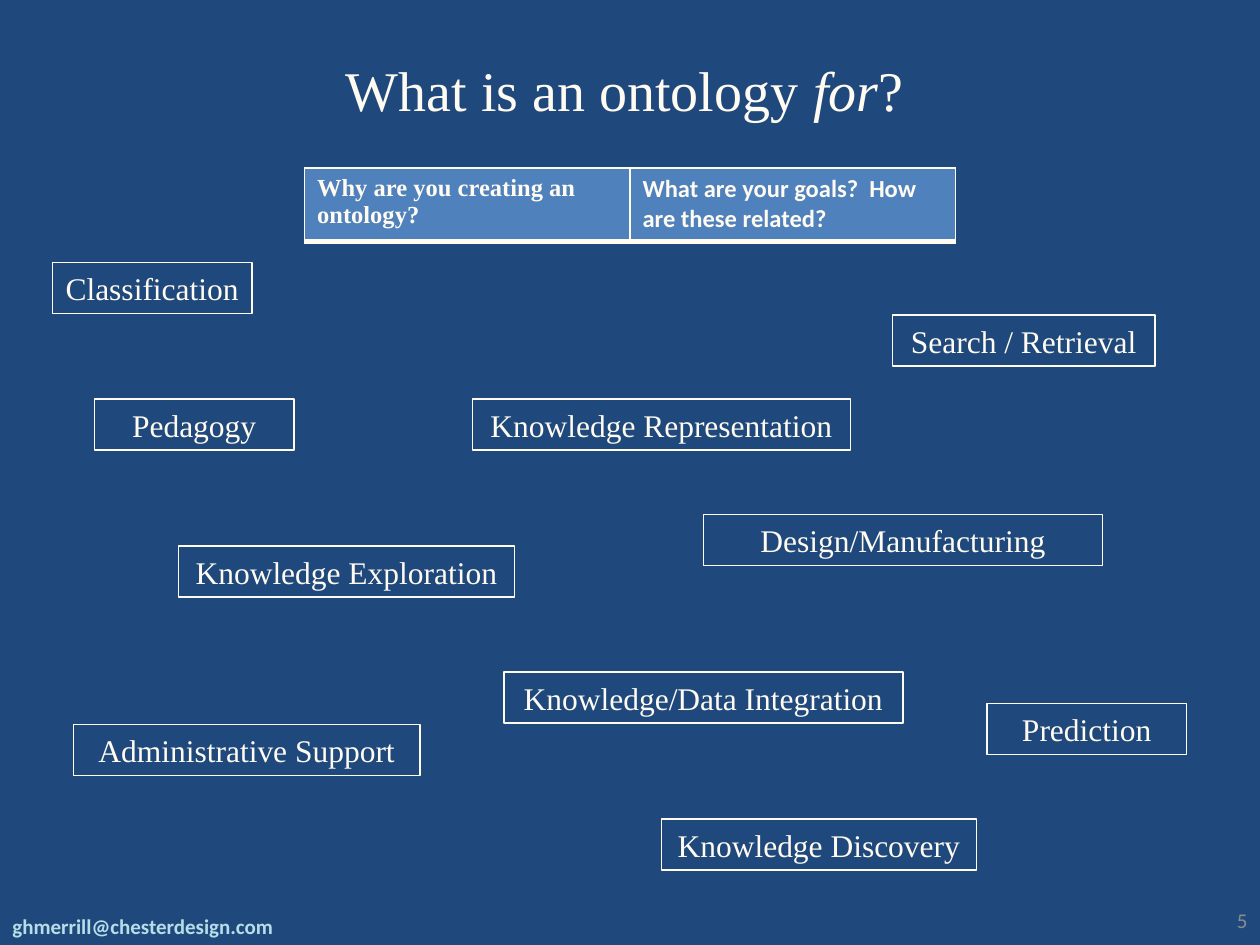
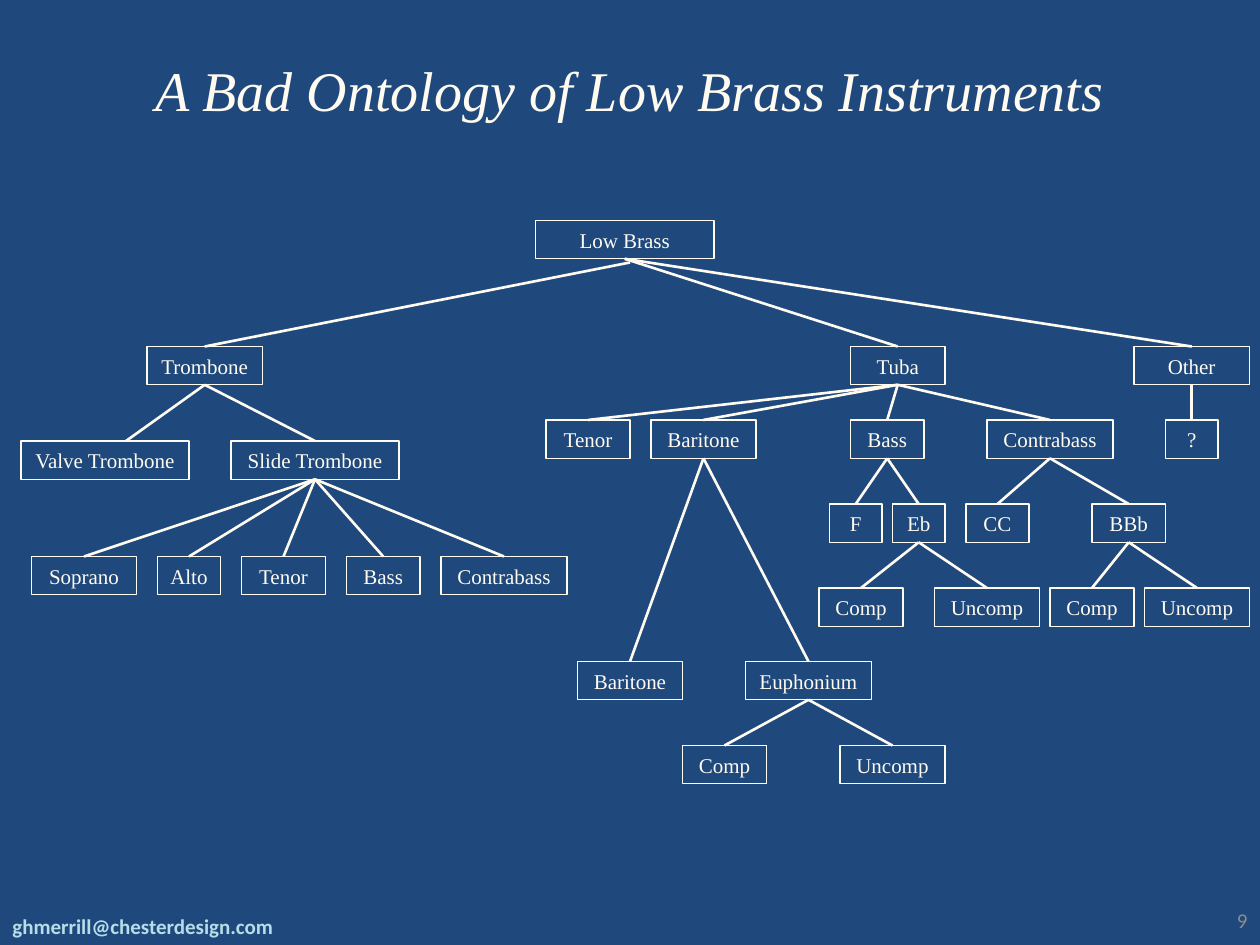
from dataclasses import dataclass
from typing import Optional

from lxml.etree import SubElement
from pptx import Presentation
from pptx.dml.color import RGBColor
from pptx.enum.shapes import MSO_CONNECTOR as Connector, MSO_SHAPE as Shape
from pptx.enum.text import MSO_ANCHOR as Anchor, PP_ALIGN as Align
from pptx.oxml.ns import qn
from pptx.util import Inches, Pt

COLS, ROWS = 120, 90
NAVY, CREAM, STEEL, AQUA, GREY = "1F497D", "FFFBF0", "4F81BD", "B7DEE8", "8C8C8C"
SERIF, SANS = "Times New Roman", "Calibri"
TITLE_ONLY = 5
TOP, BOTTOM = 0, 2  # connection sites of a rectangle


def color(hex_code):
    return RGBColor.from_string(hex_code)


@dataclass
class Node:
    """A box of the tree; link_start and link_end move the line from its parent."""
    label: str
    col: float
    row: float
    width: float
    children: tuple = ()
    link_start: Optional[tuple] = None
    link_end: Optional[tuple] = None


class Deck:
    def __init__(self):
        self.prs = Presentation()
        self.prs.slide_width, self.prs.slide_height = Inches(10), Inches(7.5)
        background = self.prs.slide_master.background.fill
        background.solid()
        background.fore_color.rgb = color(NAVY)
        self.slide = None

    def place(self, col, row):
        return (round(self.prs.slide_width * col / COLS),
                round(self.prs.slide_height * row / ROWS))

    def area(self, col, row, width, height):
        return *self.place(col, row), *self.place(width, height)

    def style(self, paragraph, size, face=SERIF, ink=CREAM, bold=False, align=Align.LEFT):
        paragraph.alignment = align
        font = paragraph.font
        font.size, font.name, font.bold = Pt(size), face, bold
        font.color.rgb = color(ink)

    def new_slide(self, number, title_runs, title_col, title_width):
        """Start a slide with its title, given as (text, italic) runs, and footers."""
        self.slide = self.prs.slides.add_slide(self.prs.slide_layouts[TITLE_ONLY])
        title = self.slide.shapes.title
        title.left, title.top, title.width, title.height = self.area(title_col, 3, title_width, 11)
        title.text_frame.vertical_anchor = Anchor.MIDDLE
        heading = title.text_frame.paragraphs[0]
        for text, italic in title_runs:
            run = heading.add_run()
            run.text, run.font.italic = text, italic
        self.style(heading, 32, align=Align.CENTER)
        self.footer(str(number), (92, 85.2, 28, 4.8), ink=GREY, align=Align.RIGHT)
        self.footer("ghmerrill@chesterdesign.com", (0, 86.4, 38, 3.6), ink=AQUA, bold=True)

    def footer(self, text, area, **look):
        frame = self.slide.shapes.add_textbox(*self.area(*area)).text_frame
        frame.word_wrap, frame.vertical_anchor = True, Anchor.MIDDLE
        frame.text = text
        self.style(frame.paragraphs[0], 12, SANS, **look)

    def box(self, label, col, row, width, height, size):
        box = self.slide.shapes.add_shape(Shape.RECTANGLE, *self.area(col, row, width, height))
        box.shadow.inherit = False
        box.fill.background()
        box.line.color.rgb, box.line.width = color(CREAM), Pt(0.75)
        frame = box.text_frame
        frame.word_wrap, frame.vertical_anchor = False, Anchor.MIDDLE
        frame.text = label
        self.style(frame.paragraphs[0], size, align=Align.CENTER)
        return box

    def link(self, parent, child, start=None, end=None):
        """Join two boxes, or the grid points given in place of either end."""
        line = self.slide.shapes.add_connector(
            Connector.STRAIGHT, *self.place(*(start or (0, 0))), *self.place(*(end or (0, 0))))
        if not start:
            line.begin_connect(parent, BOTTOM)
        if not end:
            line.end_connect(child, TOP)
        line.line.color.rgb, line.line.width = color(CREAM), Pt(1.5)
        SubElement(line._element.spPr, qn("a:effectLst"))

    def tree(self, root):
        links = []

        def grow(node):
            box = self.box(node.label, node.col, node.row, node.width, 3.65, 12)
            for child in node.children:
                links.append((box, grow(child), child.link_start, child.link_end))
            return box

        grow(root)
        for ends in links:
            self.link(*ends)

    def question_table(self, questions, area):
        """One row of (text, font) headings."""
        table = self.slide.shapes.add_table(1, len(questions), *self.area(*area)).table
        for cell, (text, face) in zip(table.rows[0].cells, questions):
            cell.text = text
            self.style(cell.text_frame.paragraphs[0], 14, face, bold=True)
            self.borders(cell, lnL=1, lnR=1, lnT=1, lnB=3)
            cell.fill.solid()
            cell.fill.fore_color.rgb = color(STEEL)

    def borders(self, cell, **widths):
        properties = cell._tc.get_or_add_tcPr()
        for side, width in widths.items():
            edge = SubElement(properties, qn(f"a:{side}"), w=str(Pt(width)))
            SubElement(SubElement(edge, qn("a:solidFill")), qn("a:srgbClr"), val=CREAM)


PURPOSES = [
    ("Classification", 5, 25, 19),
    ("Search / Retrieval", 85, 30, 25),
    ("Knowledge Exploration", 17, 52, 32),
    ("Knowledge Discovery", 63, 78, 30),
    ("Administrative Support", 7, 69, 33),
    ("Prediction", 94, 67, 19),
    ("Knowledge Representation", 45, 38, 36),
    ("Design/Manufacturing", 67, 49, 38),
    ("Pedagogy", 9, 38, 19),
    ("Knowledge/Data Integration", 48, 64, 38),
]


def compensation(row, comp_col, uncomp_col):
    return Node("Comp", comp_col, row, 8), Node("Uncomp", uncomp_col, row, 10)


TROMBONE = Node("Trombone", 14, 33, 11, link_start=(60, 25), children=(
    Node("Valve Trombone", 2, 42, 16, link_end=(12, 42)),
    Node("Slide Trombone", 22, 42, 16, (
        Node("Soprano", 3, 53, 10),
        Node("Alto", 15, 53, 6),
        Node("Tenor", 23, 53, 8),
        Node("Bass", 33, 53, 7),
        Node("Contrabass", 42, 53, 12),
    )),
))
TUBA = Node("Tuba", 81, 33, 9, (
    Node("Tenor", 52, 40, 8),
    Node("Baritone", 62, 40, 10, (
        Node("Baritone", 55, 63, 10),
        Node("Euphonium", 71, 63, 12, compensation(71, 65, 80)),
    )),
    Node("Bass", 81, 40, 7, (
        Node("F", 79, 48, 5),
        Node("Eb", 85, 48, 5, compensation(56, 78, 89)),
    )),
    Node("Contrabass", 94, 40, 12, (
        Node("CC", 92, 48, 6),
        Node("BBb", 104, 48, 7, compensation(56, 100, 109)),
    )),
))
OTHER = Node("Other", 108, 33, 11, (Node("?", 111, 40, 5),))
LOW_BRASS = Node("Low Brass", 51, 21, 17, (TROMBONE, TUBA, OTHER))


def main():
    deck = Deck()

    deck.new_slide(5, [("What is an ontology ", False), ("for", True), ("?", False)], 15, 89)
    deck.question_table([
        ("Why are you creating an ontology?", SERIF),
        ("What are your goals?  How are these related?", SANS),
    ], (29, 16, 62, 7))
    for purpose, col, row, width in PURPOSES:
        deck.box(purpose, col, row, width, 4.85, 18)

    deck.new_slide(9, [("A Bad Ontology of Low Brass Instruments", True)], 12, 96)
    deck.tree(LOW_BRASS)

    deck.prs.save("out.pptx")


if __name__ == "__main__":
    main()
